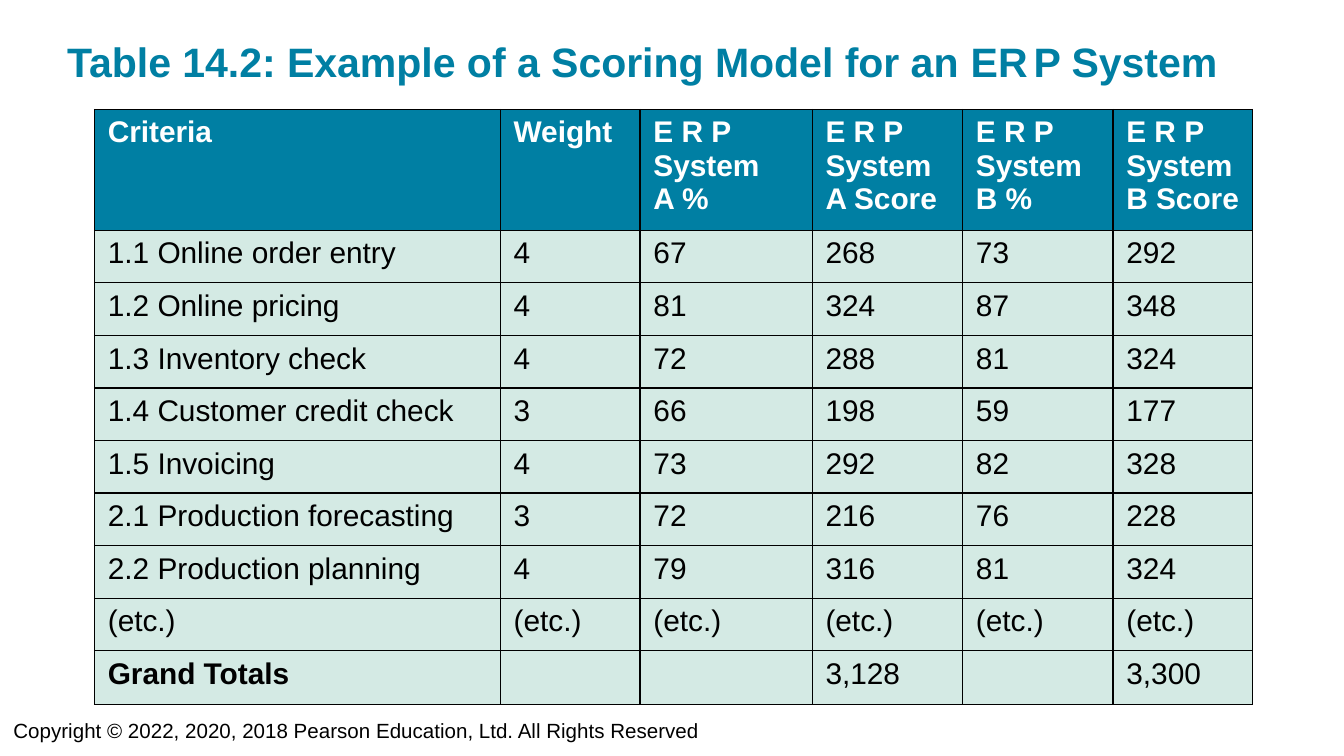
from lxml.etree import SubElement
from pptx import Presentation
from pptx.dml.color import RGBColor
from pptx.enum.text import MSO_ANCHOR as Anchor
from pptx.oxml.ns import qn
from pptx.util import Pt

# Content
TITLE = [("Table 14.2: Example of a Scoring Model for an ", 0), ("E R ", -3), ("P System", 0)]
HEADERS = ["Criteria", "Weight", "E R P System\nA %", "E R P System\nA Score",
           "E R P System\nB %", "E R P System\nB Score"]
SCORES = [
    ("1.1 Online order entry", "4", "67", "268", "73", "292"),
    ("1.2 Online pricing", "4", "81", "324", "87", "348"),
    ("1.3 Inventory check", "4", "72", "288", "81", "324"),
    ("1.4 Customer credit check", "3", "66", "198", "59", "177"),
    ("1.5 Invoicing", "4", "73", "292", "82", "328"),
    ("2.1 Production forecasting", "3", "72", "216", "76", "228"),
    ("2.2 Production planning", "4", "79", "316", "81", "324"),
    ("(etc.)",) * 6,
    ("Grand Totals", "", "", "3,128", "", "3,300"),
]
COPYRIGHT = "Copyright © 2022, 2020, 2018 Pearson Education, Ltd. All Rights Reserved"

# Format
COLORS = {"teal": "007FA3", "mint": "D4EAE4", "white": "FFFFFF", "black": "000000"}
COLUMN_WIDTHS = [217.4, 74.9, 92.2, 80.6, 80.6, 74.9]
HEADER_HEIGHT, SCORE_HEIGHT = 64.2, 28.15
BORDER_WIDTH = 0.75


def write(frame, text, size=16, color="black", bold=False, spacing=0):
    """Add text to the last paragraph; each line break starts a new paragraph."""
    for index, line in enumerate(text.split("\n")):
        paragraph = frame.add_paragraph() if index else frame.paragraphs[-1]
        run = paragraph.add_run()
        run.text = line
        run.font.name, run.font.size, run.font.bold = "Arial", Pt(size), bold
        run.font.color.rgb = RGBColor.from_string(COLORS[color])
        if spacing:
            run.font._element.set("spc", str(spacing * 100))


def add_frame(slide, left, top, width, height):
    frame = slide.shapes.add_textbox(Pt(left), Pt(top), Pt(width), Pt(height)).text_frame
    frame.word_wrap = True
    frame.vertical_anchor = Anchor.BOTTOM
    frame.margin_left = frame.margin_right = frame.margin_top = frame.margin_bottom = 0
    return frame


def style_cell(cell, fill):
    properties = cell._tc.get_or_add_tcPr()
    for side in ("a:lnL", "a:lnR", "a:lnT", "a:lnB"):
        line = SubElement(properties, qn(side), w=str(Pt(BORDER_WIDTH)))
        SubElement(SubElement(line, qn("a:solidFill")), qn("a:srgbClr"), val=COLORS["black"])
    cell.fill.solid()
    cell.fill.fore_color.rgb = RGBColor.from_string(COLORS[fill])
    cell.margin_left = cell.margin_right = Pt(7.2)
    cell.margin_top = cell.margin_bottom = Pt(3.6)


def main():
    deck = Presentation()
    deck.slide_width, deck.slide_height = Pt(720), Pt(405)
    slide = deck.slides.add_slide(deck.slide_layouts[6])

    # Title
    title = add_frame(slide, 36, 19.4, 648, 26.6)
    for text, spacing in TITLE:
        write(title, text, size=22, color="teal", bold=True, spacing=spacing)

    # Scoring table
    rows = [HEADERS, *SCORES]
    heights = [HEADER_HEIGHT] + [SCORE_HEIGHT] * len(SCORES)
    table = slide.shapes.add_table(len(rows), len(HEADERS), Pt(50.6), Pt(58.6),
                                   Pt(sum(COLUMN_WIDTHS)), Pt(sum(heights))).table
    table.horz_banding = False
    for column, width in zip(table.columns, COLUMN_WIDTHS):
        column.width = Pt(width)
    for r, (row, height) in enumerate(zip(rows, heights)):
        table.rows[r].height = Pt(height)
        is_header = r == 0
        for c, text in enumerate(row):
            cell = table.cell(r, c)
            style_cell(cell, "teal" if is_header else "mint")
            write(cell.text_frame, text, color="white" if is_header else "black",
                  bold=is_header or text == "Grand Totals")

    # Copyright line
    write(add_frame(slide, 7.2, 378.7, 676.8, 19.4), COPYRIGHT, size=11)

    deck.save("out.pptx")


if __name__ == "__main__":
    main()
